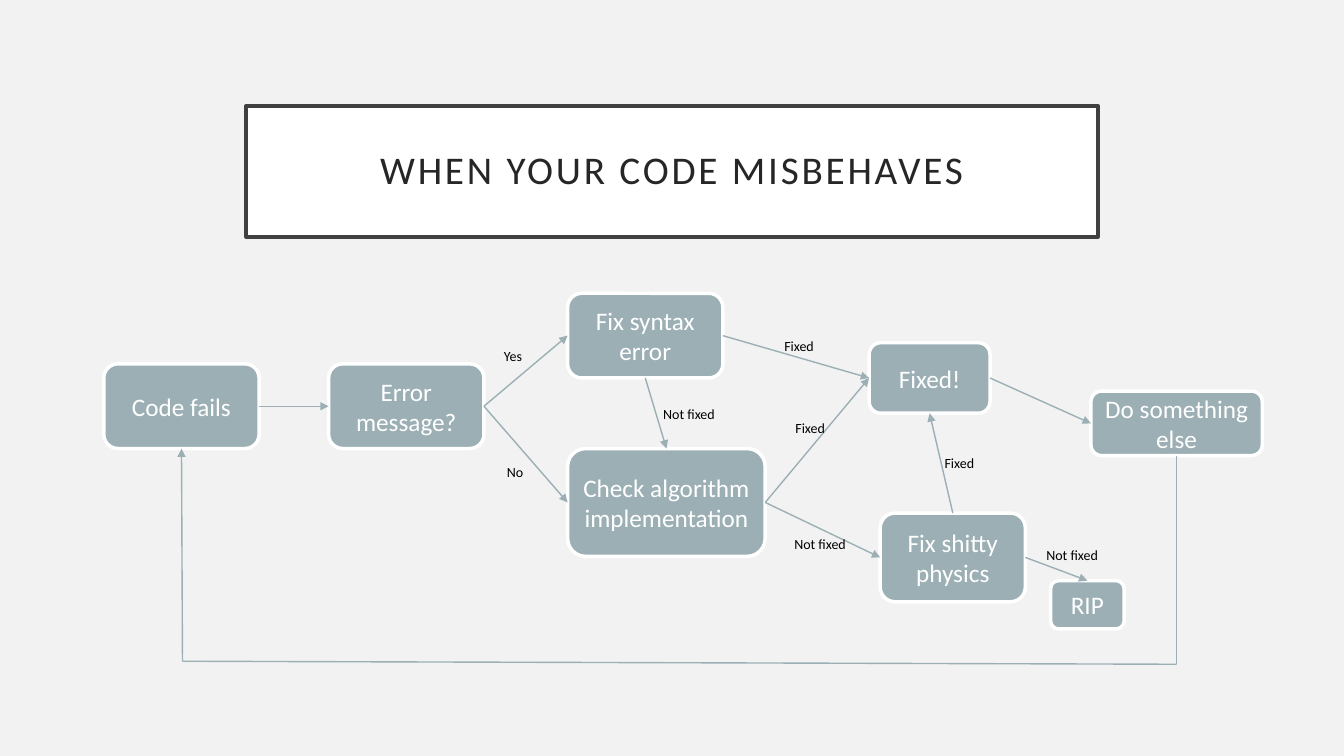
from lxml.etree import SubElement
from pptx import Presentation
from pptx.dml.color import RGBColor
from pptx.enum.shapes import MSO_CONNECTOR, MSO_SHAPE
from pptx.enum.text import MSO_ANCHOR, MSO_AUTO_SIZE, PP_ALIGN
from pptx.oxml.ns import qn
from pptx.util import Pt

PX = 9144
FONT = "Calibri"
SAGE = "9BAFB5"
WHITE = "FFFFFF"
TOP, LEFT, BOTTOM, RIGHT = range(4)

STEPS = {
    "Code fails": (0, 70, 154, 84),
    "Error message?": (223, 70, 154, 84),
    "Fix syntax error": (460, 0, 154, 84),
    "Check algorithm implementation": (460, 154, 196, 107),
    "Fix shitty physics": (770, 218, 144, 88),
    "Fixed!": (759, 49, 120, 70),
    "Do something else": (979, 97, 170, 64),
    "RIP": (939, 285, 73, 48),
}
ARROWS = [
    ("Code fails", RIGHT, "Error message?", LEFT),
    ("Error message?", RIGHT, "Fix syntax error", LEFT),
    ("Error message?", RIGHT, "Check algorithm implementation", LEFT),
    ("Check algorithm implementation", RIGHT, "Fix shitty physics", LEFT),
    ("Check algorithm implementation", RIGHT, "Fixed!", LEFT),
    ("Fix syntax error", RIGHT, "Fixed!", LEFT),
    ("Fixed!", RIGHT, "Do something else", LEFT),
    ("Fix syntax error", BOTTOM, "Check algorithm implementation", TOP),
    ("Fix shitty physics", TOP, "Fixed!", BOTTOM),
    ("Fix shitty physics", RIGHT, "RIP", TOP),
]
ANSWERS = [
    ("Yes", 387, 49, 44),
    ("No", 390, 164, 44),
    ("Fixed", 665, 39, 52),
    ("Not fixed", 545, 106, 77),
    ("Not fixed", 675, 235, 77),
    ("Fixed", 676, 120, 52),
    ("Fixed", 824, 155, 52),
    ("Not fixed", 925, 246, 77),
]


def px(*lengths):
    return [length * PX for length in lengths]


def color(value):
    return RGBColor.from_string(value)


def paint(shape, fill, outline):
    shape.fill.solid()
    shape.fill.fore_color.rgb = color(fill)
    shape.line.color.rgb = color(outline)
    shape.line.width = Pt(2.5)


def write(shape, text, size, ink, align):
    shape.text_frame.word_wrap = True
    paragraph = shape.text_frame.paragraphs[0]
    paragraph.text = text
    paragraph.alignment = align
    paragraph.font.name = FONT
    paragraph.font.size = Pt(size)
    paragraph.font.color.rgb = color(ink)
    return paragraph


def add_title(slide, left, top, width, height):
    title = slide.shapes.title
    title.left, title.top, title.width, title.height = px(left, top, width, height)
    paint(title, WHITE, "404040")
    frame = title.text_frame
    frame.auto_size = MSO_AUTO_SIZE.NONE
    frame.vertical_anchor = MSO_ANCHOR.MIDDLE
    frame.margin_left = frame.margin_right = 20 * PX
    frame.margin_top = frame.margin_bottom = 20 * PX
    heading = write(title, "WHEN YOUR CODE MISBEHAVES", 28, "262626", PP_ALIGN.CENTER)
    heading.line_spacing = 0.9
    heading.runs[0].font._element.set("spc", "200")


def add_step(slide, text, left, top, width, height):
    step = slide.shapes.add_shape(
        MSO_SHAPE.ROUNDED_RECTANGLE, *px(left, top, width, height))
    step.shadow.inherit = False
    paint(step, SAGE, WHITE)
    step.text_frame.vertical_anchor = MSO_ANCHOR.MIDDLE
    write(step, text, 18, WHITE, PP_ALIGN.CENTER)
    return step


def add_link(slide, start=(0, 0), end=(0, 0), source=None, target=None, arrow=True):
    link = slide.shapes.add_connector(MSO_CONNECTOR.STRAIGHT, *px(*start, *end))
    if source:
        link.begin_connect(*source)
    if target:
        link.end_connect(*target)
    link.line.color.rgb = color(SAGE)
    link.line.width = Pt(1)
    if arrow:
        SubElement(link.line._get_or_add_ln(), qn("a:tailEnd"), type="triangle")
    SubElement(link._element.spPr, qn("a:effectLst"))


def add_answer(slide, text, left, top, width):
    answer = slide.shapes.add_textbox(*px(left, top, width, 27))
    write(answer, text, 10, "000000", PP_ALIGN.LEFT)


def add_return_loop(slide, last, first, right, left, bottom):
    right_corner, left_corner = (right, bottom), (left, bottom - 3)
    add_link(slide, end=right_corner, source=(last, BOTTOM), arrow=False)
    add_link(slide, right_corner, left_corner, arrow=False)
    add_link(slide, left_corner, target=(first, BOTTOM))


def add_flowchart(slide, left, top):
    steps = {text: add_step(slide, text, left + x, top + y, width, height)
             for text, (x, y, width, height) in STEPS.items()}
    for source, source_side, target, target_side in ARROWS:
        add_link(slide, source=(steps[source], source_side),
                 target=(steps[target], target_side))
    add_return_loop(slide, steps["Do something else"], steps["Code fails"],
                    left + 1064, left + 78, top + 368)
    for text, x, y, width in ANSWERS:
        add_answer(slide, text, left + x, top + y, width)


def main():
    deck = Presentation()
    deck.slide_width, deck.slide_height = px(1333, 750)
    slide = deck.slides.add_slide(deck.slide_layouts[5])
    slide.background.fill.solid()
    slide.background.fill.fore_color.rgb = color("F2F2F2")
    add_title(slide, 244, 105, 845, 130)
    add_flowchart(slide, 103, 291)
    deck.save("out.pptx")


if __name__ == "__main__":
    main()
